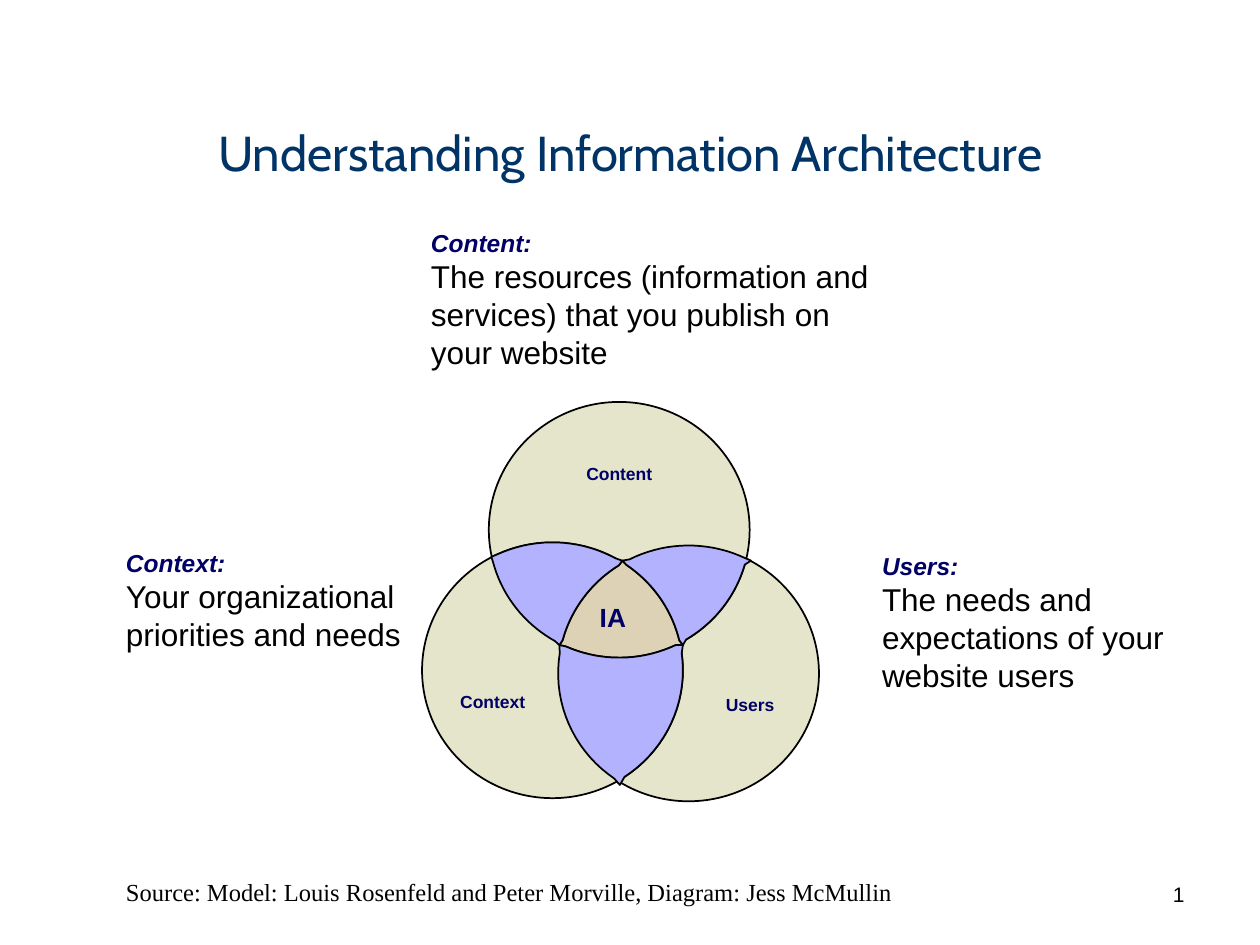
import math
from pptx import Presentation
from pptx.dml.color import RGBColor
from pptx.enum import shapes, text
from pptx.util import Inches, Pt

NAVY = RGBColor(0x00, 0x00, 0x66)
TITLE_BLUE = RGBColor(0x00, 0x33, 0x66)
BLACK = RGBColor(0, 0, 0)
SAND = RGBColor(0xE5, 0xE5, 0xCC)
TAN = RGBColor(0xDD, 0xD2, 0xB5)
LILAC = RGBColor(0xB2, 0xB2, 0xFF)

LEFT, CENTER, RIGHT = text.PP_ALIGN.LEFT, text.PP_ALIGN.CENTER, text.PP_ALIGN.RIGHT
TOP, MIDDLE = text.MSO_ANCHOR.TOP, text.MSO_ANCHOR.MIDDLE
NO_INSET = (0, 0, 0, 0)
INSET = (0.1, 0.05, 0.1, 0.05)

TITLE = "Understanding Information Architecture"
SOURCE = "Source: Model: Louis Rosenfeld and Peter Morville, Diagram: Jess McMullin"
DEFINITIONS = [
    ("Content:", "The resources (information and services) that you publish on your website",
     (2.92, 1.81, 4.06, 1.44), (0.5, 0, 0, 0)),
    ("Context:", "Your organizational priorities and needs", (1, 4.35, 2.33, 2.5), NO_INSET),
    ("Users:", "The needs and expectations of your website users", (7, 4.37, 2.25, 2.48), NO_INSET),
]

RADIUS_X, RADIUS_Y = 1.035, 1.015
CIRCLES = {
    "Users": ((5.465, 5.345), RIGHT, MIDDLE, (0.05, 0.53, 0.05, 0.03)),
    "Content": ((4.915, 4.205), CENTER, TOP, (0.05, 0.19, 0.05, 0.03)),
    "Context": ((4.385, 5.32), LEFT, MIDDLE, (0, 0.53, 0.05, 0.03)),
}
CORNERS = {
    "top": (4.94, 4.45), "left": (4.44, 5.12), "right": (5.42, 5.12),
    "outer left": (3.9, 4.42), "outer right": (5.96, 4.45), "bottom": (4.92, 6.23),
}
OVERLAPS = [
    (TAN, [("top", "Users"), ("left", "Content"), ("right", "Context")]),
    (LILAC, [("outer left", "Context"), ("top", "Users"), ("left", "Content")]),
    (LILAC, [("outer right", "Users"), ("top", "Context"), ("right", "Content")]),
    (LILAC, [("left", "Content"), ("right", "Context"), ("bottom", "Users")]),
]
ARC_STEPS = 20


def set_frame(shape, insets, anchor=TOP):
    frame = shape.text_frame
    frame.word_wrap = True
    frame.vertical_anchor = anchor
    (frame.margin_left, frame.margin_top,
     frame.margin_right, frame.margin_bottom) = map(Inches, insets)
    return frame


def add_span(para, words, size, color, font="Arial", bold=False, italic=False, align=LEFT):
    para.alignment = align
    span = para.add_run()
    span.text = words
    span.font.name, span.font.size = font, Pt(size)
    span.font.bold, span.font.italic = bold, italic
    span.font.color.rgb = color


def add_box(parent, place, insets, words, size, color, **style):
    box = parent.shapes.add_textbox(*map(Inches, place))
    frame = set_frame(box, insets)
    add_span(frame.paragraphs[0], words, size, color, **style)
    return frame


def paint(shape, color):
    shape.shadow.inherit = False
    shape.fill.solid()
    shape.fill.fore_color.rgb = color
    shape.line.color.rgb = BLACK
    shape.line.width = Pt(1)


def arc_points(circle, start, end):
    center_x, center_y = CIRCLES[circle][0]
    first, last = (math.atan2((y - center_y) / RADIUS_Y, (x - center_x) / RADIUS_X)
                   for x, y in (CORNERS[start], CORNERS[end]))
    sweep = (last - first + math.pi) % (2 * math.pi) - math.pi
    angles = [first + sweep * step / ARC_STEPS for step in range(1, ARC_STEPS)]
    return [CORNERS[start]] + [(center_x + RADIUS_X * math.cos(angle),
                                center_y + RADIUS_Y * math.sin(angle)) for angle in angles]


def add_circle(diagram, name):
    (x, y), align, anchor, insets = CIRCLES[name]
    place = (x - RADIUS_X, y - RADIUS_Y, 2 * RADIUS_X, 2 * RADIUS_Y)
    circle = diagram.shapes.add_shape(shapes.MSO_SHAPE.OVAL, *map(Inches, place))
    paint(circle, SAND)
    frame = set_frame(circle, insets, anchor)
    add_span(frame.paragraphs[0], name, 10, NAVY, bold=True, align=align)


def add_overlap(diagram, color, edges):
    points = []
    for (start, circle), (end, _) in zip(edges, edges[1:] + edges[:1]):
        points += arc_points(circle, start, end)
    outline = [(Inches(x), Inches(y)) for x, y in points]
    builder = diagram.shapes.build_freeform(*outline[0])
    builder.add_line_segments(outline[1:], close=True)
    paint(builder.convert_to_shape(), color)


def main():
    deck = Presentation()
    deck.slide_width, deck.slide_height = Inches(10), Inches(7.5)
    page = deck.slides.add_slide(deck.slide_layouts[6])

    add_box(page, (0.5, 0.92, 9, 0.59), INSET, TITLE, 28, TITLE_BLUE, font="Cabin", align=CENTER)
    for term, meaning, place, insets in DEFINITIONS:
        frame = add_box(page, place, insets, term, 14, NAVY, bold=True, italic=True)
        add_span(frame.add_paragraph(), meaning, 18, BLACK)
    add_box(page, (1, 6.96, 7.83, 0.31), NO_INSET, SOURCE, 14, BLACK, font="Times New Roman")

    diagram = page.shapes.add_group_shape()
    for name in CIRCLES:
        add_circle(diagram, name)
    for color, edges in OVERLAPS:
        add_overlap(diagram, color, edges)
    add_box(diagram, (4.76, 4.77, 0.38, 0.31), NO_INSET, "IA", 15, NAVY, bold=True)

    add_box(page, (7.17, 6.95, 2.33, 0.4), INSET, "1", 12, BLACK, align=RIGHT)
    deck.save("out.pptx")


if __name__ == "__main__":
    main()
